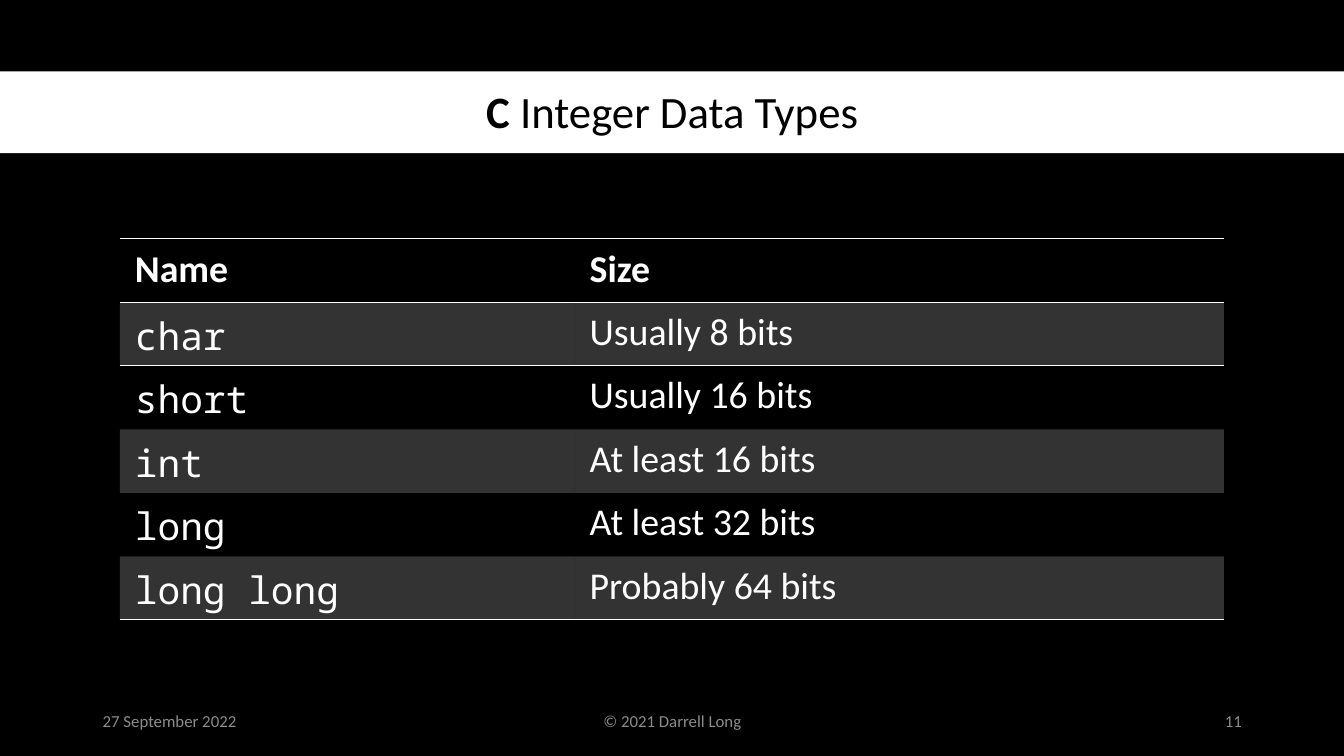
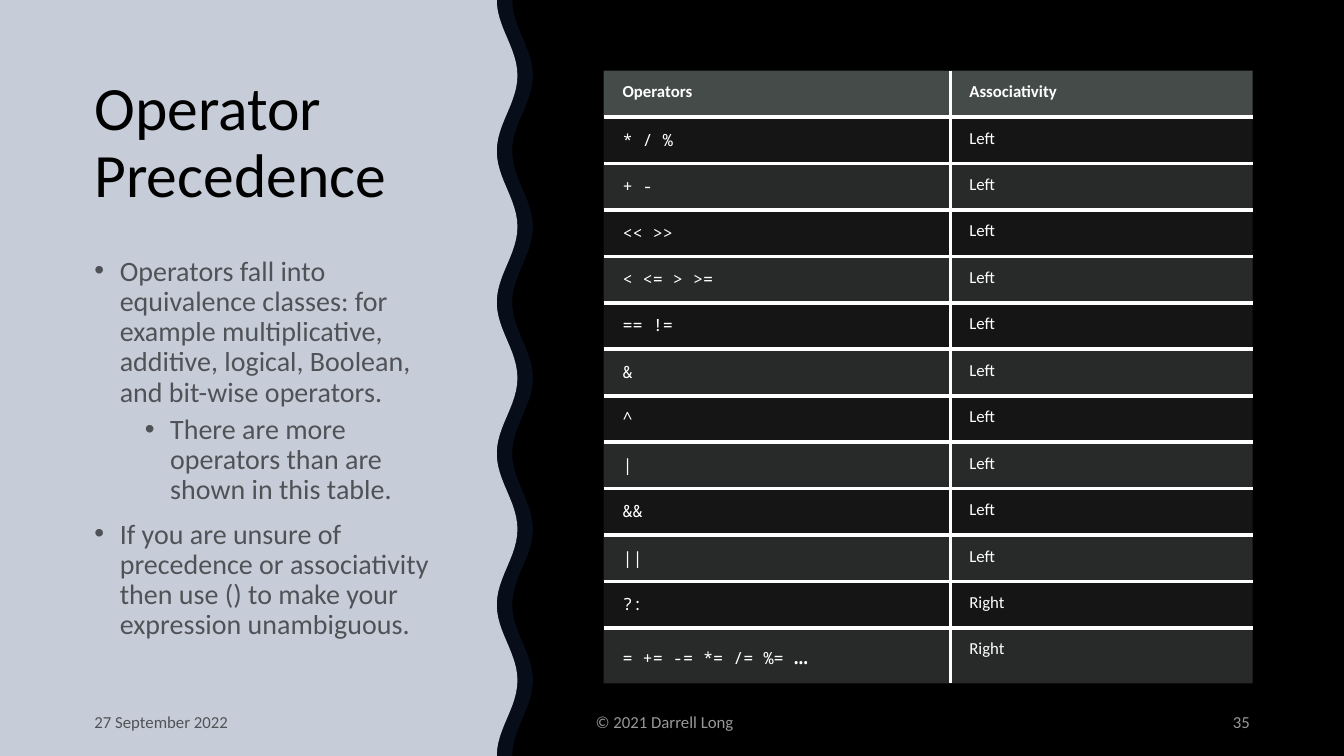
from math import cos, pi

from lxml.etree import SubElement
from pptx import Presentation
from pptx.dml.color import RGBColor
from pptx.enum.shapes import MSO_SHAPE
from pptx.enum.text import MSO_ANCHOR, PP_ALIGN
from pptx.oxml.ns import qn
from pptx.util import Cm, Pt

HUES = {
    "black": "000000",
    "white": "FFFFFF",
    "grey": "8C8C8C",
    "navy": "203864",
    "slate": "636B68",
    "ash": "878E8B",
}
SANS, MONO = "Calibri", "Noto Sans Mono"
WIDE, HIGH = 33.87, 19.05
PLAIN = "{2D5ABB26-0587-4C30-8999-92F81FD0307C}"
DATE, OWNER = "27 September 2022", "© 2021 Darrell Long"

TYPES = [
    ("Name", "Size"),
    ("char", "Usually 8 bits"),
    ("short", "Usually 16 bits"),
    ("int", "At least 16 bits"),
    ("long", "At least 32 bits"),
    ("long long", "Probably 64 bits"),
]
ORDER = [
    ("Operators", "Associativity"),
    ("* / %", "Left"),
    ("+ -", "Left"),
    ("<< >>", "Left"),
    ("< <= > >=", "Left"),
    ("== !=", "Left"),
    ("&", "Left"),
    ("^", "Left"),
    ("|", "Left"),
    ("&&", "Left"),
    ("||", "Left"),
    ("?:", "Right"),
    ("= += -= *= /= %= ", "Right"),
]
POINTS = [
    (0, "Operators fall into equivalence classes: for example multiplicative, "
        "additive, logical, Boolean, and bit-wise operators."),
    (1, "There are more operators than are shown in this table."),
    (0, "If you are unsure of precedence or associativity then use () to make "
        "your expression unambiguous."),
]


def apply(target, values):
    for name, value in values.items():
        setattr(target, name, value)


def paint(fill, node, hue, alpha=100):
    fill.solid()
    fill.fore_color.rgb = RGBColor.from_string(HUES[hue])
    if alpha < 100:
        color = node.find(qn("a:solidFill") + "/" + qn("a:srgbClr"))
        SubElement(color, qn("a:alpha")).set("val", str(alpha * 1000))


def write(para, text, size, hue, alpha=100, face=SANS, bold=False):
    run = para.add_run()
    run.text = text
    apply(run.font, {"size": Pt(size), "name": face, "bold": bold})
    paint(run.font.fill, run._r.get_or_add_rPr(), hue, alpha)


def add_box(slide, left, top, width, height, anchor=MSO_ANCHOR.TOP):
    box = slide.shapes.add_textbox(Cm(left), Cm(top), Cm(width), Cm(height))
    apply(box.text_frame, {"word_wrap": True, "vertical_anchor": anchor})
    return box.text_frame


def add_title(slide, place, parts, size, **form):
    para = add_box(slide, *place).paragraphs[0]
    apply(para, {"line_spacing": 0.9, **form})
    for text, bold in parts:
        write(para, text, size, "black", bold=bold)


def add_foot(slide, top, height, items):
    for text, left, width, align, hue, alpha in items:
        frame = add_box(slide, left, top, width, height, MSO_ANCHOR.MIDDLE)
        para = frame.paragraphs[0]
        apply(para, {"alignment": align, "space_after": Pt(6)})
        write(para, text, 12, hue, alpha)


def finish(shape, hue, alpha=100):
    shape.shadow.inherit = False
    shape.line.fill.background()
    paint(shape.fill, shape._element.spPr, hue, alpha)


def add_wave(slide, edge, hue, alpha=100):
    steps = 120
    curve = []
    for step in range(steps + 1):
        swing = 0.26 * (1 - cos(2 * pi * 5 * step / steps))
        curve.append((Cm(edge + swing), Cm(HIGH * step / steps)))
    form = slide.shapes.build_freeform(0, 0)
    form.add_line_segments(curve + [(0, Cm(HIGH))], close=True)
    finish(form.convert_to_shape(), hue, alpha)


def add_list(slide, place, points):
    frame = add_box(slide, *place)
    for spot, (level, text) in enumerate(points):
        para = frame.add_paragraph() if spot else frame.paragraphs[0]
        props = para._p.get_or_add_pPr()
        props.set("marL", str(Cm(0.64 + 1.27 * level)))
        props.set("indent", str(-Cm(0.64)))
        SubElement(props, qn("a:buFont")).set("typeface", "Arial")
        SubElement(props, qn("a:buChar")).set("char", "•")
        gap = (5 if level else 10) if spot else 0
        apply(para, {"level": level, "line_spacing": 0.9, "space_before": Pt(gap)})
        write(para, text, 20, "black", 60)


def add_edge(props, side, width):
    line = SubElement(props, qn("a:ln" + side))
    line.set("w", str(Pt(width)))
    solid = SubElement(line, qn("a:solidFill"))
    SubElement(solid, qn("a:srgbClr")).set("val", HUES["white"])


def add_grid(slide, place, data, widths, heights, size, margins, edges, rule, shade):
    frame = slide.shapes.add_table(
        len(data), len(widths), *map(Cm, place), Cm(sum(widths)), Cm(sum(heights)))
    table = frame.table
    apply(table, {"first_row": False, "horz_banding": False})
    table._tbl.tblPr.find(qn("a:tableStyleId")).text = PLAIN
    for col, width in zip(table.columns, widths):
        col.width = Cm(width)
    for row, height in zip(table.rows, heights):
        row.height = Cm(height)
    sides = ("margin_left", "margin_top", "margin_right", "margin_bottom")
    for y, line in enumerate(data):
        for x, text in enumerate(line):
            cell = table.cell(y, x)
            apply(cell, dict(zip(sides, map(Cm, margins))))
            face = MONO if y and not x else SANS
            write(cell.text_frame.paragraphs[0], text, size, "white",
                  face=face, bold=not y)
            props = cell._tc.get_or_add_tcPr()
            for side in edges(y, x):
                add_edge(props, side, rule)
            tint = shade(y)
            if tint:
                paint(cell.fill, props, *tint)
            else:
                cell.fill.background()
    return table


def new_slide(deck):
    slide = deck.slides.add_slide(deck.slide_layouts[6])
    fill = slide.background.fill
    fill.solid()
    fill.fore_color.rgb = RGBColor.from_string(HUES["black"])
    return slide


def show_types(deck):
    slide = new_slide(deck)
    band = slide.shapes.add_shape(
        MSO_SHAPE.RECTANGLE, 0, Cm(1.8), Cm(WIDE), Cm(2.06))
    finish(band, "white")
    add_title(slide, (2.34, 1.88, 29.21, 1.98, MSO_ANCHOR.MIDDLE),
              [("C", True), (" Integer Data Types", False)], 32,
              alignment=PP_ALIGN.CENTER)
    add_foot(slide, 17.65, 1.02, [
        (DATE, 2.34, 7.62, PP_ALIGN.LEFT, "grey", 100),
        (OWNER, 11.23, 11.43, PP_ALIGN.CENTER, "grey", 100),
        ("11", 23.93, 7.62, PP_ALIGN.RIGHT, "grey", 100),
    ])
    last = len(TYPES) - 1

    def edges(y, x):
        return ("T" if y < 2 else "") + ("B" if y in (0, last) else "")

    def shade(y):
        return ("white", 20) if y % 2 else None

    add_grid(slide, (3.02, 6.02), TYPES, (11.46, 16.36), [1.6] * len(TYPES), 27,
             (0.38, 0.18, 0.38, 0.18), edges, 1, shade)


def show_order(deck):
    slide = new_slide(deck)
    add_wave(slide, 12.52, "white")
    add_wave(slide, 12.91, "navy", 25)
    add_title(slide, (2.13, 1.83, 9.4, 4.14), [("Operator Precedence", False)], 44)
    add_list(slide, (2.13, 6.35, 9.4, 10.67), POINTS)
    add_foot(slide, 17.7, 0.97, [
        (DATE, 2.13, 7.29, PP_ALIGN.LEFT, "black", 60),
        (OWNER, 14.76, 12.37, PP_ALIGN.LEFT, "white", 60),
        ("35", 28.8, 2.95, PP_ALIGN.RIGHT, "white", 60),
    ])
    last = len(ORDER) - 1

    def edges(y, x):
        return ("L" if x else "R") + ("T" if y else "") + ("B" if y < last else "")

    def shade(y):
        return ("ash", 15 if y % 2 else 30) if y else ("slate", 70)

    table = add_grid(slide, (15.21, 1.78), ORDER, (8.74, 7.62),
                     [1.17] * last + [1.4], 12, (0.48, 0.28, 0.28, 0.28),
                     edges, 3, shade)
    write(table.cell(last, 0).text_frame.paragraphs[0], "…", 17, "white", face=MONO)


def main():
    deck = Presentation()
    apply(deck, {"slide_width": Cm(WIDE), "slide_height": Cm(HIGH)})
    show_types(deck)
    show_order(deck)
    deck.save("out.pptx")


if __name__ == "__main__":
    main()
